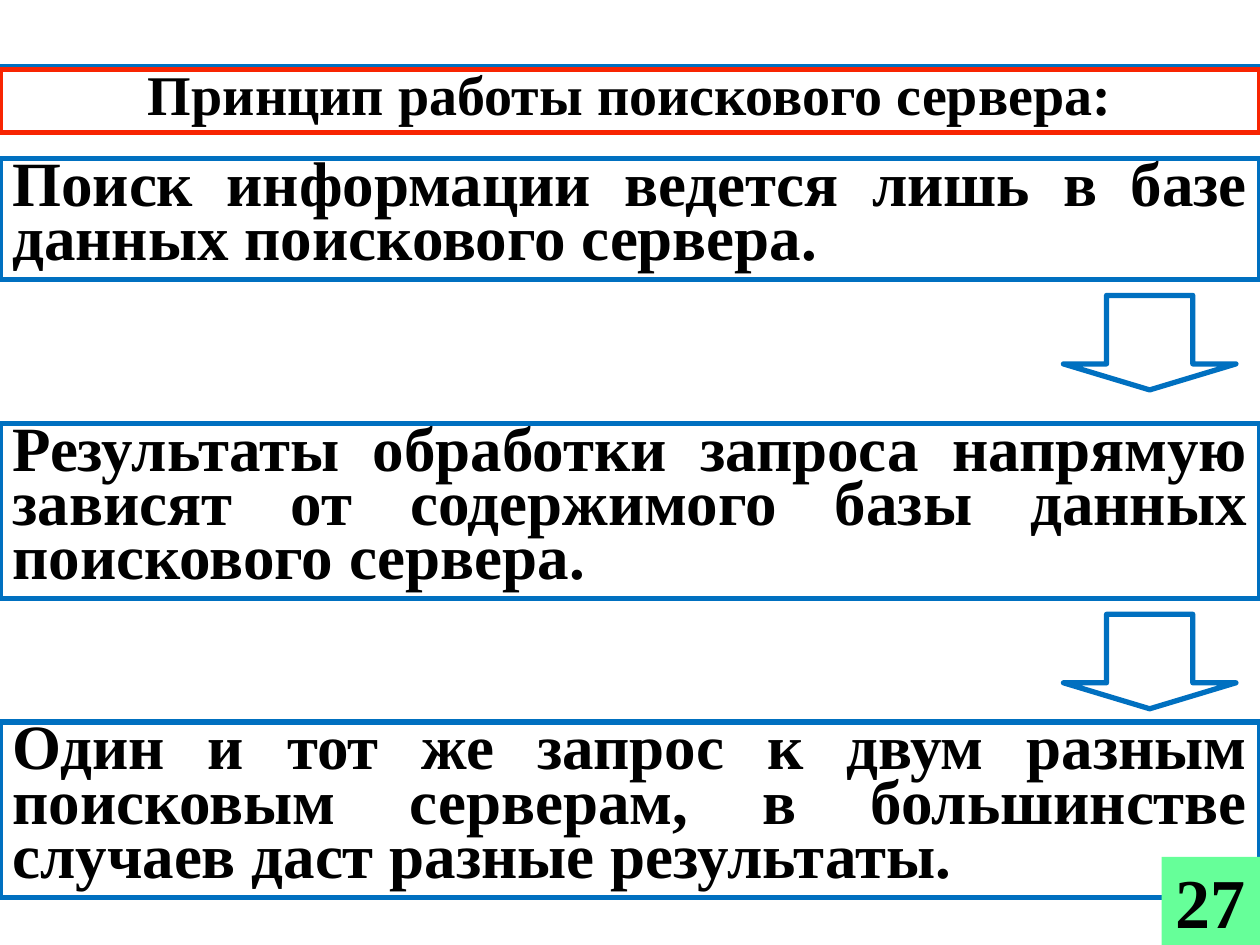
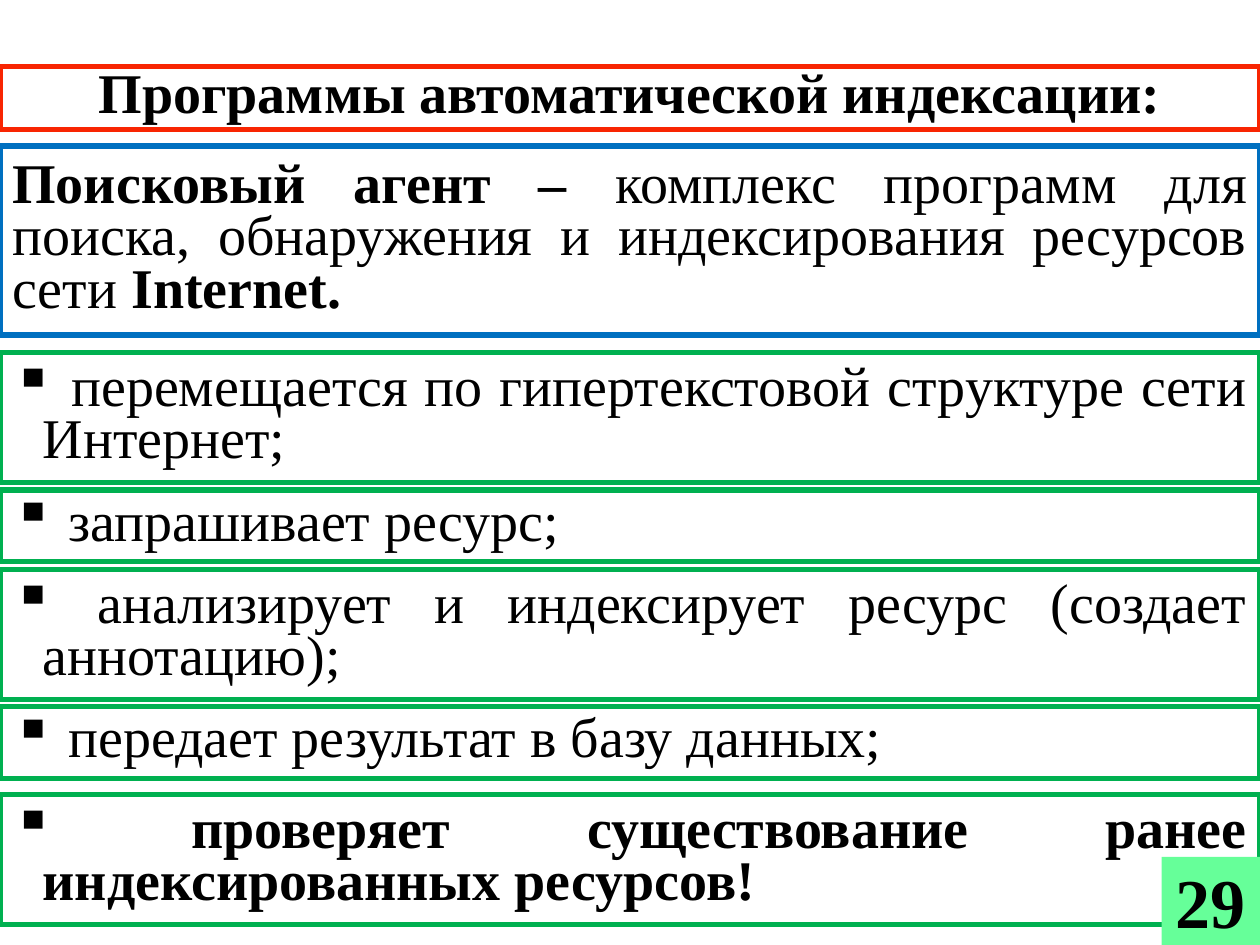
from lxml import etree
from pptx import Presentation
from pptx.dml.color import RGBColor
from pptx.enum.shapes import MSO_CONNECTOR, MSO_SHAPE
from pptx.enum.text import MSO_ANCHOR, MSO_AUTO_SIZE, PP_ALIGN
from pptx.oxml.ns import qn
from pptx.util import Pt

FONT = "Times New Roman"
BLACK, WHITE, MINT = "000000", "FFFFFF", "66FF99"
BLUE, RED, GREEN = "0070C0", "F82502", "00B050"
SLIDE_W, SLIDE_H = 720, 540
BORDER = 3
TITLE_H = 36
BULLET_INDENT = 17.3


def rgb(hex_color):
    return RGBColor.from_string(hex_color)


def place(shape, left, top, width, height):
    shape.left, shape.top = Pt(left), Pt(top)
    shape.width, shape.height = Pt(width), Pt(height)


def paint(shape, fill, border=None):
    shape.fill.solid()
    shape.fill.fore_color.rgb = rgb(fill)
    if border:
        shape.line.color.rgb = rgb(border)
        shape.line.width = Pt(BORDER)
    else:
        shape.line.fill.background()


def add_bullet(p):
    pPr = p._p.get_or_add_pPr()
    pPr.set("marL", str(Pt(BULLET_INDENT)))
    pPr.set("indent", str(-Pt(BULLET_INDENT)))
    etree.SubElement(pPr, qn("a:buChar")).set("char", "▪")


def write(shape, parts, size, align, spacing=None, bullet=False):
    """Fill a shape with one paragraph made of (text, bold) parts."""
    tf = shape.text_frame
    tf.word_wrap = True
    tf.auto_size = MSO_AUTO_SIZE.NONE
    tf.vertical_anchor = MSO_ANCHOR.MIDDLE
    tf.margin_left = tf.margin_right = Pt(7.2)
    tf.margin_top = tf.margin_bottom = Pt(3.6)
    p = tf.paragraphs[0]
    p.alignment = align
    if spacing:
        p.line_spacing = Pt(spacing)
    if bullet:
        add_bullet(p)
    for text, bold in parts:
        r = p.add_run()
        r.text = text
        r.font.name = FONT
        r.font.size = Pt(size)
        r.font.bold = bold
        r.font.color.rgb = rgb(BLACK)


def add_block(s, kind, box, fill=WHITE, border=None):
    sp = s.shapes.add_shape(kind, *(Pt(v) for v in box))
    sp.shadow.inherit = False
    paint(sp, fill, border)
    return sp


def add_band(s, top, height, border, parts, size, spacing, bullet=False):
    """Add a framed text band across the whole slide."""
    sp = add_block(s, MSO_SHAPE.RECTANGLE, (0, top, SLIDE_W, height), border=border)
    write(sp, parts, size, PP_ALIGN.JUSTIFY, spacing, bullet)


def add_title(s, text, top):
    title = s.shapes.title
    place(title, 0, top, SLIDE_W, TITLE_H)
    paint(title, WHITE, RED)
    write(title, [(text, True)], 32, PP_ALIGN.CENTER, 30)


def add_rule_behind(s, top):
    """Add a blue line across the slide, below all other shapes."""
    rule = s.shapes.add_connector(MSO_CONNECTOR.STRAIGHT, 0, Pt(top), Pt(SLIDE_W), Pt(top))
    rule.line.color.rgb = rgb(BLUE)
    rule.line.width = Pt(BORDER)
    etree.SubElement(rule._element.spPr, qn("a:effectLst"))
    s.shapes._spTree.insert(2, rule._element)


def add_down_arrow(s, top):
    arrow = add_block(s, MSO_SHAPE.DOWN_ARROW, (607.7, top, 98.6, 54), border=BLUE)
    arrow.adjustments[0] = 0.5
    arrow.adjustments[1] = 0.275


def add_page_number(s, number):
    w, h = 56.2, 50.4
    badge = add_block(s, MSO_SHAPE.RECTANGLE, (SLIDE_W - w, SLIDE_H - h, w, h), MINT)
    write(badge, [(str(number), True)], 40, PP_ALIGN.CENTER)


def build_steps_slide(s, title, steps, number):
    """Build a slide of bands, given as (top, height, text), joined by arrows."""
    add_rule_behind(s, 38.2)
    add_title(s, title, 39.6)
    for i, (top, height, text) in enumerate(steps):
        add_band(s, top, height, BLUE, [(text, True)], 36, 31)
        if i < len(steps) - 1:
            add_down_arrow(s, top + height + 9)
    add_page_number(s, number)


def build_definition_slide(s, title, definition, actions, conclusion, number):
    """Build a definition, a stack of (text, lines) actions and a bold conclusion."""
    heights = {1: 41, 2: 74.2}
    add_title(s, title, 38.2)
    add_band(s, 83.5, 108, BLUE, definition, 32, 30)
    top = 201.6
    for text, lines in actions:
        add_band(s, top, heights[lines], GREEN, [(text, False)], 32, 30, bullet=True)
        top += heights[lines] + 4.3
    add_band(s, top + 5, heights[2], GREEN, [(conclusion, True)], 32, 30, bullet=True)
    add_page_number(s, number)


def main():
    prs = Presentation()
    prs.slide_width, prs.slide_height = Pt(SLIDE_W), Pt(SLIDE_H)
    title_only = prs.slide_layouts[5]

    build_steps_slide(
        prs.slides.add_slide(title_only),
        "Принцип работы поискового сервера:",
        [
            (90.7, 69.1, "Поиск информации ведется лишь в базе данных поискового сервера."),
            (241.9, 100.1, "Результаты обработки запроса напрямую зависят "
                           "от содержимого базы данных поискового сервера."),
            (412.6, 100.1, "Один и тот же запрос к двум разным поисковым серверам, "
                           "в большинстве случаев даст разные результаты."),
        ],
        27,
    )
    build_definition_slide(
        prs.slides.add_slide(title_only),
        "Программы автоматической индексации:",
        [
            ("Поисковый агент – ", True),
            ("комплекс программ для поиска, обнаружения "
             "и индексирования ресурсов сети ", False),
            ("Internet.", True),
        ],
        [
            (" перемещается по гипертекстовой структуре сети Интернет;", 2),
            (" запрашивает ресурс;", 1),
            (" анализирует и индексирует ресурс (создает аннотацию);", 2),
            (" передает результат в базу данных;", 1),
        ],
        " проверяет существование ранее индексированных ресурсов!",
        29,
    )
    prs.save("out.pptx")


if __name__ == "__main__":
    main()
